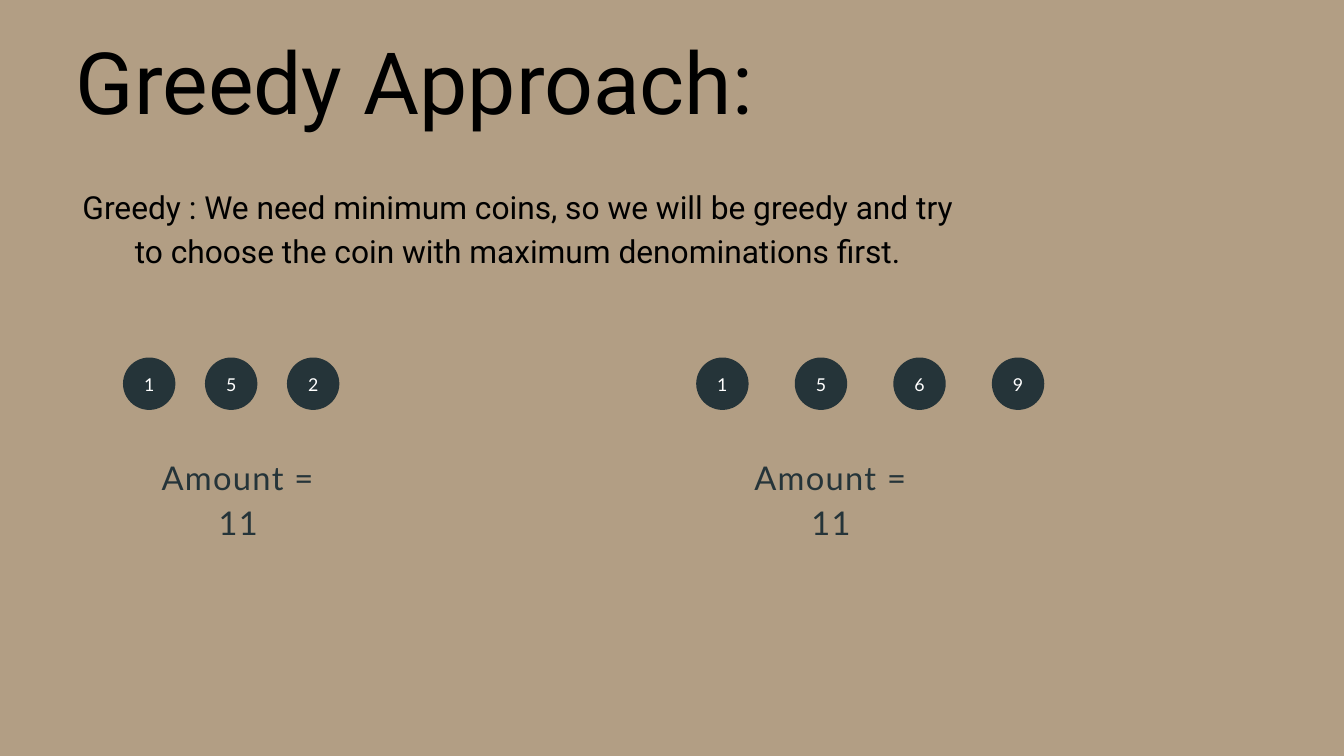
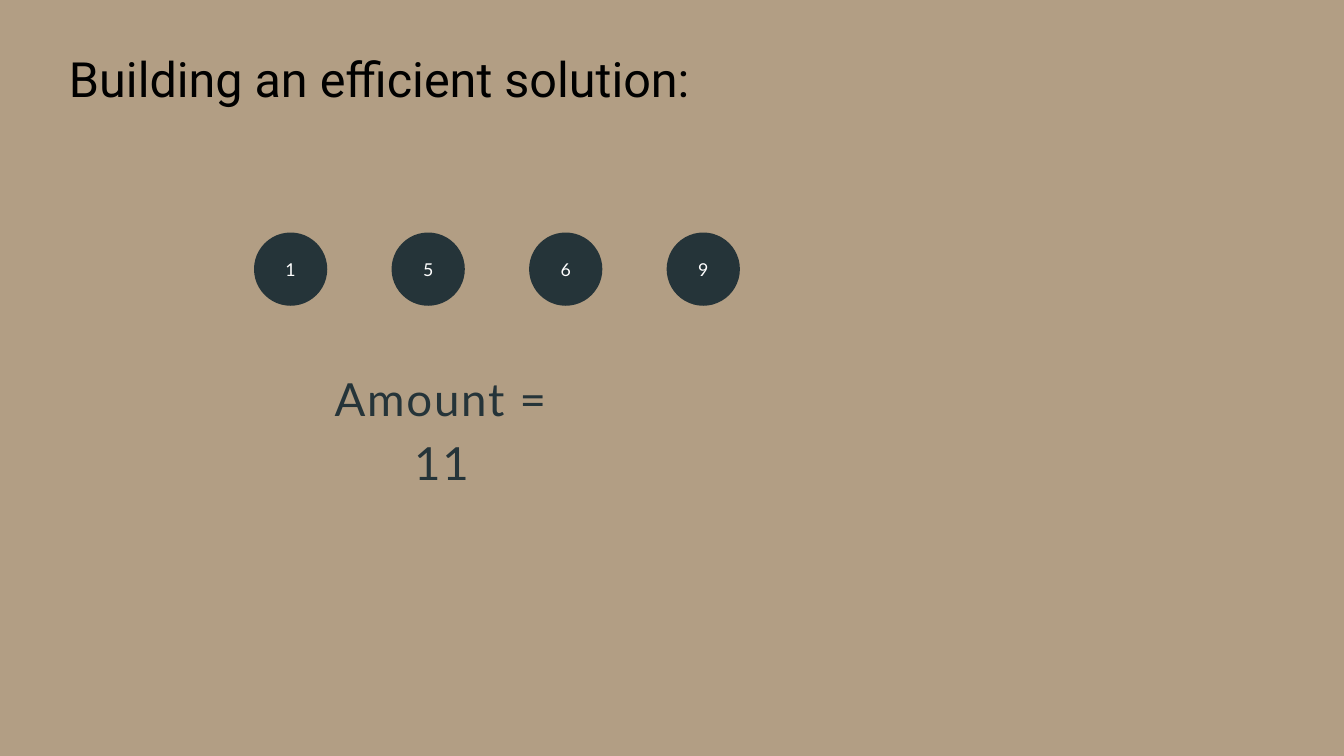
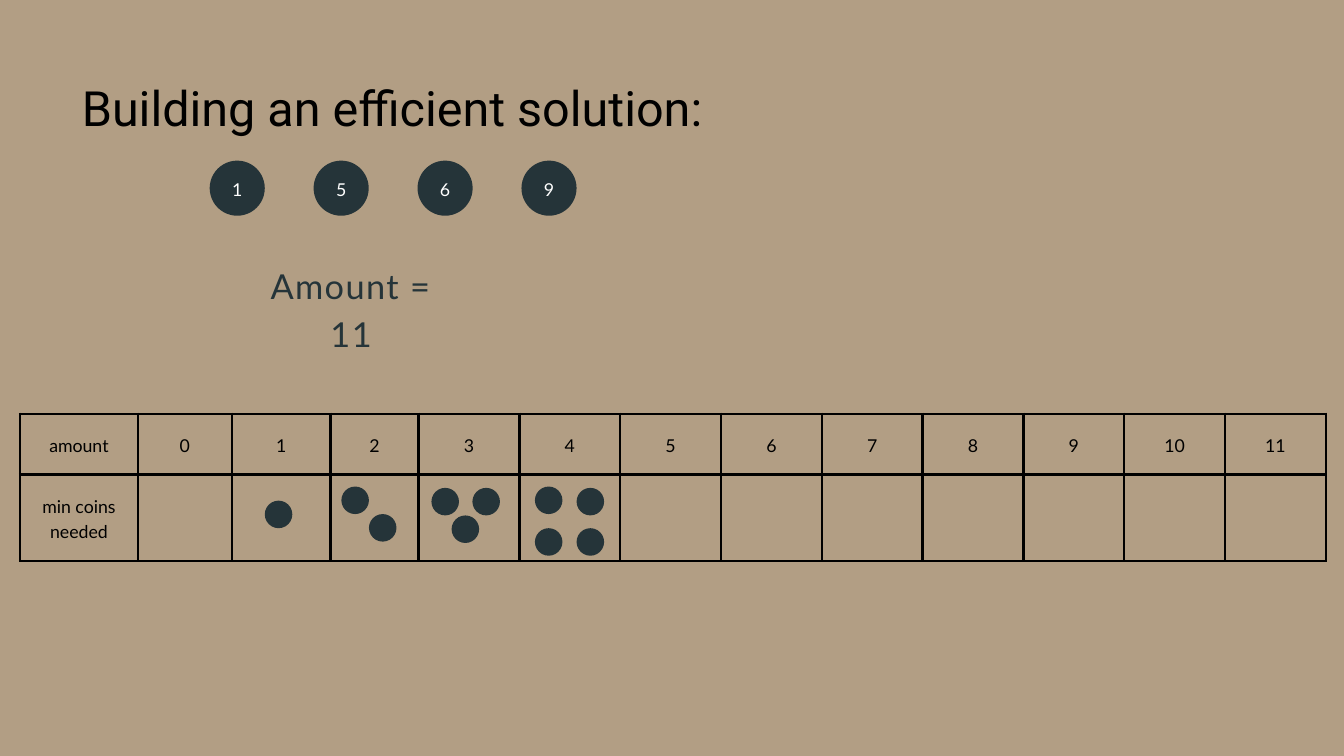
from dataclasses import dataclass

from lxml import etree
from pptx import Presentation
from pptx.dml.color import RGBColor
from pptx.enum import shapes, text
from pptx.oxml import ns
from pptx import util as u


@dataclass(frozen=True)
class Theme:
    """Colours, fonts and type sizes shared by the slides."""
    sand: str = "B29E84"
    slate: str = "253439"
    ink: str = "000000"
    white: str = "FFFFFF"
    heading_font: str = "Roboto"
    body_font: str = "Lato"
    hero: float = 92
    title: float = 52
    explanation: float = 34
    label: float = 19
    leading: float = 1.4
    tracking: float = 0.04
    border: float = 3


THEME = Theme()
COINS = ["1", "5", "6", "9"]
TITLE = "Building an efficient solution:"
COLUMN_WIDTHS = [1.75, 1.4, 1.47, 1.31] + [1.5] * 9
ROW_HEIGHTS = [0.9, 1.29]
DOT = 0.41
DOT_OFFSETS = {
    1: [(0.49, 0.39)],
    2: [(0.16, 0.18), (0.57, 0.59)],
    3: [(0.19, 0.2), (0.8, 0.2), (0.49, 0.61)],
    4: [(0.23, 0.18), (0.85, 0.2), (0.23, 0.8), (0.85, 0.8)],
}


def inches(box):
    """Convert a box of numbers to lengths."""
    return [u.Inches(side) for side in box]


def apply(target, formats):
    """Set each format value on the target."""
    for name, value in formats.items():
        setattr(target, name, value)


def margins(left, top, right, bottom):
    """Return the inner margins as format values."""
    sides = inches((left, top, right, bottom))
    return dict(zip(("margin_left", "margin_top", "margin_right", "margin_bottom"), sides))


def write(frame, lines, size, font, color, tracked=False):
    """Fill a text frame with centred lines."""
    for index, line in enumerate(lines):
        paragraph = frame.paragraphs[0] if index == 0 else frame.add_paragraph()
        apply(paragraph, {"alignment": text.PP_ALIGN.CENTER,
                          "line_spacing": u.Pt(THEME.leading * size)})
        run = paragraph.add_run()
        run.text = line
        apply(run.font, {"name": font, "size": u.Pt(size)})
        run.font.color.rgb = RGBColor.from_string(color)
        if tracked:
            run.font._element.set("spc", str(round(100 * THEME.tracking * size)))


def add_copy(slide, box, lines, size, font, color, tracked=False, right=0):
    """Place a block of centred text in the box."""
    frame = slide.shapes.add_textbox(*inches(box)).text_frame
    apply(frame, {"word_wrap": True, "auto_size": text.MSO_AUTO_SIZE.SHAPE_TO_FIT_TEXT,
                  **margins(0, 0, right, 0)})
    write(frame, lines, size, font, color, tracked)


def add_title(slide, box, line, size=THEME.title, right=0.36):
    """Place the slide title."""
    add_copy(slide, box, [line], size, THEME.heading_font, THEME.ink, right=right)


def add_amount(slide, box, size):
    """Place the target amount."""
    add_copy(slide, box, ["Amount = 11"], size, THEME.body_font, THEME.slate, tracked=True)


def add_disc(slide, left, top, diameter):
    """Draw a plain slate disc."""
    disc = slide.shapes.add_shape(shapes.MSO_SHAPE.OVAL, *inches((left, top, diameter, diameter)))
    disc.shadow.inherit = False
    disc.fill.solid()
    disc.fill.fore_color.rgb = RGBColor.from_string(THEME.slate)
    disc.line.fill.background()
    return disc


def add_coins(slide, box, values):
    """Spread numbered coins evenly over the box, as tall as the box."""
    left, top, width, diameter = box
    pitch = (width - diameter) / (len(values) - 1)
    for index, value in enumerate(values):
        frame = add_disc(slide, left + index * pitch, top, diameter).text_frame
        apply(frame, {"word_wrap": True, "vertical_anchor": text.MSO_ANCHOR.MIDDLE,
                      **margins(0, 0, 0, 0.03)})
        write(frame, [value], THEME.label, THEME.body_font, THEME.white, tracked=True)


def add_borders(cell):
    """Draw a solid line on each side of a cell."""
    properties = cell._tc.get_or_add_tcPr()
    for index, side in enumerate(("lnL", "lnR", "lnT", "lnB")):
        line = etree.Element(ns.qn(f"a:{side}"), w=str(u.Pt(THEME.border)))
        fill = etree.SubElement(line, ns.qn("a:solidFill"))
        etree.SubElement(fill, ns.qn("a:srgbClr"), val=THEME.ink)
        properties.insert(index, line)


def add_coin_table(slide, left, top):
    """Build the table of amounts and the coins each one needs."""
    rows = [["amount"] + [str(amount) for amount in range(12)],
            ["min coins needed"] + [""] * 12]
    box = (left, top, sum(COLUMN_WIDTHS), sum(ROW_HEIGHTS))
    table = slide.shapes.add_table(len(rows), len(COLUMN_WIDTHS), *inches(box)).table
    apply(table, {"first_row": False, "horz_banding": False})
    for column, width in zip(table.columns, COLUMN_WIDTHS):
        column.width = u.Inches(width)
    for row, height, entries in zip(table.rows, ROW_HEIGHTS, rows):
        row.height = u.Inches(height)
        for cell, entry in zip(row.cells, entries):
            apply(cell, {"vertical_anchor": text.MSO_ANCHOR.MIDDLE, **margins(*[0.21] * 4)})
            cell.fill.background()
            add_borders(cell)
            if entry:
                write(cell.text_frame, [entry], THEME.label, THEME.body_font, THEME.ink)
    for amount, offsets in DOT_OFFSETS.items():
        cell_left = left + sum(COLUMN_WIDTHS[:amount + 1])
        for across, down in offsets:
            add_disc(slide, cell_left + across, top + ROW_HEIGHTS[0] + down, DOT)


def add_slide(deck):
    """Add a blank slide on the sand background."""
    slide = deck.slides.add_slide(deck.slide_layouts[6])
    slide.background.fill.solid()
    slide.background.fill.fore_color.rgb = RGBColor.from_string(THEME.sand)
    return slide


def greedy_slide(deck):
    """Explain the greedy approach with two sets of coins."""
    slide = add_slide(deck)
    add_title(slide, (0.51, 0.17, 11.32, 1.71), "Greedy Approach:", THEME.hero, right=0)
    add_copy(slide, (-2.15, 2.7, 19.71, 1.29),
             ["Greedy : We need minimum coins, so we will be greedy and try",
              "to choose the coin with maximum denominations first."],
             THEME.explanation, THEME.heading_font, THEME.ink)
    add_coins(slide, (1.83, 5.32, 3.22, 0.78), ["1", "5", "2"])
    add_coins(slide, (10.36, 5.32, 5.18, 0.78), COINS)
    for left in (2.22, 11.04):
        add_amount(slide, (left, 6.71, 2.65, 0.65), 35)


def problem_slide(deck):
    """Show the coins and the amount to reach."""
    slide = add_slide(deck)
    add_title(slide, (0.46, 0.59, 10.73, 0.97), TITLE)
    add_coins(slide, (3.78, 3.46, 7.23, 1.09), COINS)
    add_amount(slide, (4.72, 5.39, 3.7, 0.91), 48.9)


def table_slide(deck):
    """Show the coins, the amount and the table being filled."""
    slide = add_slide(deck)
    add_coin_table(slide, 0.3, 6.16)
    add_coins(slide, (3.12, 2.39, 5.46, 0.82), COINS)
    add_title(slide, (0.65, 1.02, 10.73, 0.97), TITLE)
    add_amount(slide, (3.83, 3.84, 2.79, 0.69), 36.8)


def main():
    """Build and save the deck."""
    deck = Presentation()
    apply(deck, {"slide_width": u.Inches(20), "slide_height": u.Inches(11.25)})
    for build in (greedy_slide, problem_slide, table_slide):
        build(deck)
    deck.save("out.pptx")


if __name__ == "__main__":
    main()
